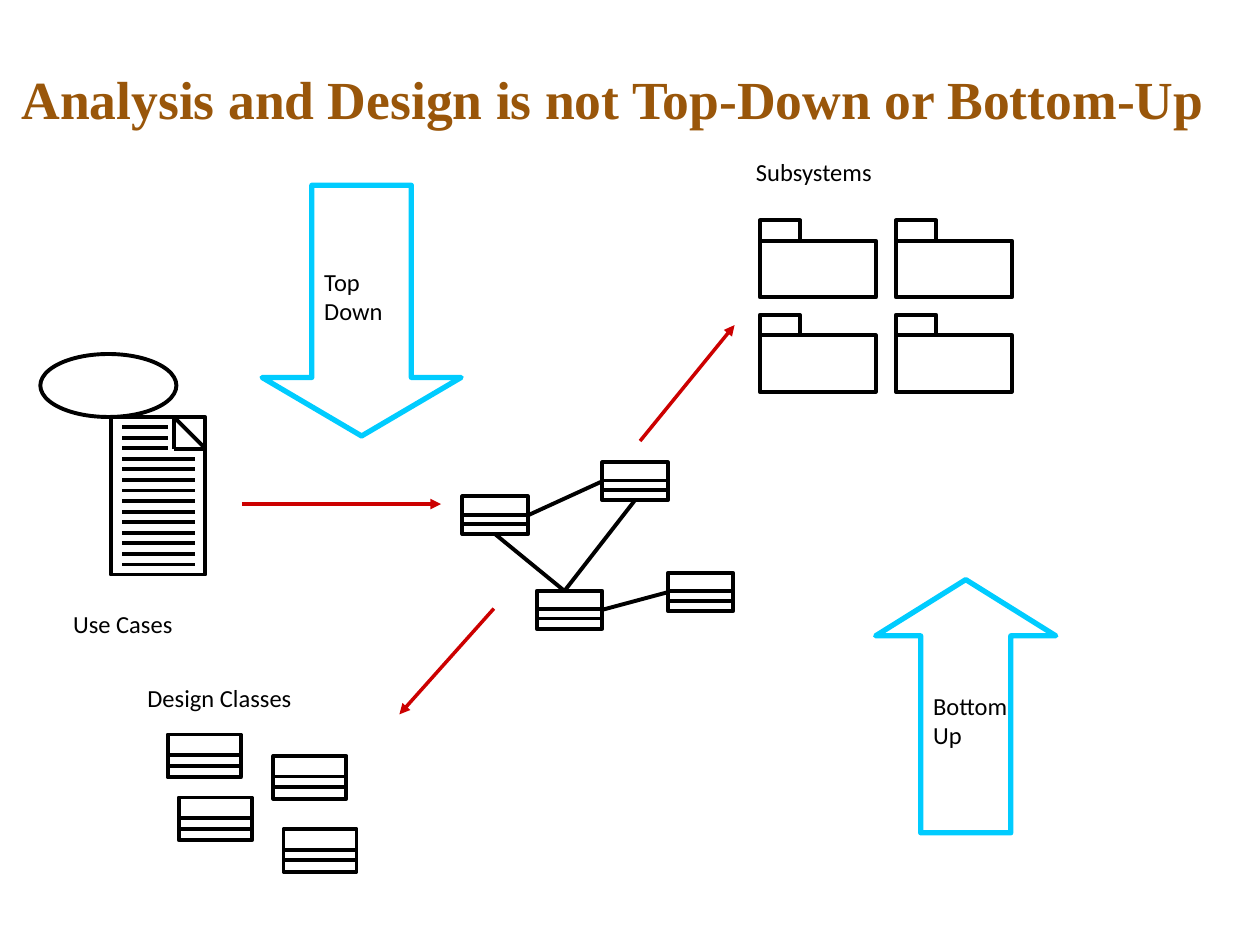
from typing import NamedTuple

from lxml.etree import SubElement
from pptx import Presentation
from pptx.dml.color import RGBColor
from pptx.enum.shapes import MSO_CONNECTOR as Connector, MSO_SHAPE as Shape
from pptx.enum.text import MSO_ANCHOR as Anchor, MSO_AUTO_SIZE as AutoSize, PP_ALIGN as Align
from pptx.oxml.ns import qn
from pptx.util import Inches, Pt

BLACK, RED, CYAN, BROWN = "000000", "CC0000", "00CCFF", "99560A"
OUTLINE = 2.25
TOP, LEFT, BOTTOM, RIGHT = range(4)


class BlockArrow(NamedTuple):
    kind: Shape
    box: tuple
    head: float
    lines: tuple


class Label(NamedTuple):
    text: str
    box: tuple


class Line(NamedTuple):
    start: tuple
    end: tuple


BLOCK_ARROWS = [
    BlockArrow(Shape.DOWN_ARROW, (2.08, 1.47, 1.58, 1.99), 0.294, ("Top", "Down")),
    BlockArrow(Shape.UP_ARROW, (6.95, 4.6, 1.43, 2.01), 0.312, ("Bottom", "Up")),
]
FLOW_ARROWS = [
    Line((1.92, 4), (3.5, 4)),
    Line((5.08, 3.5), (5.83, 2.58)),
    Line((3.92, 4.83), (3.17, 5.67)),
]
LABELS = [
    Label("Design Classes", (1.17, 5.42, 1.64, 0.3)),
    Label("Subsystems", (6, 1.25, 1.3, 0.3)),
    Label("Use Cases", (0.58, 4.83, 1.11, 0.3)),
]
DESIGN_CLASSES = [(1.33, 5.83), (1.42, 6.33), (2.17, 6), (2.25, 6.58)]
ANALYSIS_CLASSES = [(3.67, 3.94), (4.78, 3.67), (4.26, 4.69), (5.3, 4.55)]


def color(value: str) -> RGBColor:
    return RGBColor.from_string(value)


def inches(values: tuple) -> list:
    return [Inches(value) for value in values]


def format_text(frame, lines: tuple, size=14, name="Calibri", hue=BLACK, bold=False) -> None:
    frame.text = "\n".join(lines)
    for paragraph in frame.paragraphs:
        paragraph.alignment = Align.LEFT
        font = paragraph.runs[0].font
        for key, value in {"size": Pt(size), "name": name, "bold": bold}.items():
            setattr(font, key, value)
        font.color.rgb = color(hue)


def set_margins(frame, margin: float) -> None:
    for side in ("left", "top", "right", "bottom"):
        setattr(frame, f"margin_{side}", Inches(margin))


def add_outline(shapes, kind, box: tuple, hue=BLACK, width=OUTLINE):
    shape = shapes.add_shape(kind, *inches(box))
    shape.shadow.inherit = False
    shape.fill.background()
    shape.line.color.rgb = color(hue)
    shape.line.width = Pt(width)
    return shape


def add_line(shapes, start: tuple, end: tuple, hue=BLACK, width=OUTLINE, arrow=False):
    line = shapes.add_connector(Connector.STRAIGHT, *inches(start + end))
    line.line.color.rgb = color(hue)
    line.line.width = Pt(width)
    if arrow:
        SubElement(line.line._get_or_add_ln(), qn("a:tailEnd"), type="triangle")
    SubElement(line._element.spPr, qn("a:effectLst"))
    return line


def add_block_arrow(shapes, arrow: BlockArrow) -> None:
    shape = add_outline(shapes, arrow.kind, arrow.box, CYAN, 3)
    shape.adjustments[0] = 0.5
    shape.adjustments[1] = arrow.head
    frame = shape.text_frame
    frame.word_wrap = False
    frame.vertical_anchor = Anchor.MIDDLE
    format_text(frame, arrow.lines)


def add_label(shapes, label: Label) -> None:
    frame = shapes.add_textbox(*inches(label.box)).text_frame
    set_margins(frame, 0)
    frame.word_wrap = False
    frame.auto_size = AutoSize.SHAPE_TO_FIT_TEXT
    format_text(frame, (label.text,))


def add_class(shapes, left: float, top: float, width: float, height: float):
    """Class box with two compartment lines; returns its outer rectangle."""
    group = shapes.add_group_shape().shapes
    box = add_outline(group, Shape.RECTANGLE, (left, top, width, height))
    for share in (0.48, 0.73):
        y = top + share * height
        add_line(group, (left, y), (left + width, y))
    return box


def add_folder(shapes, left: float, top: float) -> None:
    group = shapes.add_group_shape().shapes
    add_outline(group, Shape.RECTANGLE, (left, top + 0.16, 0.92, 0.45))
    add_outline(group, Shape.RECTANGLE, (left, top, 0.32, 0.16))


def add_use_case(shapes) -> None:
    group = shapes.add_group_shape().shapes
    add_outline(group, Shape.OVAL, (0.32, 2.81, 1.08, 0.5))
    add_outline(group, Shape.RECTANGLE, (0.88, 3.31, 0.75, 1.25))
    # Folded page corner
    fold = [(1.38, 3.31), (1.63, 3.56), (1.38, 3.56)]
    for start, end in zip(fold, fold[1:] + fold[:1]):
        add_line(group, start, end)
    # Lines of writing, the first three shortened by the fold
    for row in range(14):
        y = 3.39 + row * 1.09 / 13
        add_line(group, (0.97, y), (1.33 if row < 3 else 1.55, y))


def main() -> None:
    presentation = Presentation()
    presentation.slide_width, presentation.slide_height = Inches(10), Inches(7.5)
    slide = presentation.slides.add_slide(presentation.slide_layouts[5])
    shapes = slide.shapes

    # Title
    title = shapes.title
    title.left, title.top, title.width, title.height = inches((0.07, 0.35, 9.93, 0.78))
    frame = title.text_frame
    set_margins(frame, 0.1)
    frame.vertical_anchor = Anchor.BOTTOM
    frame.auto_size = AutoSize.NONE
    format_text(frame, ("Analysis and Design is not Top-Down or Bottom-Up",),
                30.6, "Times New Roman", BROWN, True)

    # Directions and flow
    for arrow in BLOCK_ARROWS:
        add_block_arrow(shapes, arrow)
    for flow in FLOW_ARROWS:
        add_line(shapes, flow.start, flow.end, RED, 2, arrow=True)

    # Design classes, subsystems and use cases
    for left, top in DESIGN_CLASSES:
        add_class(shapes, left, top, 0.58, 0.34)
    for left in (6.03, 7.11):
        for top in (1.75, 2.5):
            add_folder(shapes, left, top)
    add_use_case(shapes)
    for label in LABELS:
        add_label(shapes, label)

    # Analysis classes and their associations
    first, second, third, fourth = [
        add_class(shapes, left, top, 0.52, 0.3) for left, top in ANALYSIS_CLASSES]
    for box, side, other, other_side in [(first, RIGHT, second, LEFT),
                                         (third, RIGHT, fourth, LEFT)]:
        line = add_line(shapes, (0, 0), (1, 1))
        line.begin_connect(box, side)
        line.end_connect(other, other_side)
    for box, end in [(first, (3.93, 4.24)), (second, (5.04, 3.97))]:
        add_line(shapes, (4.48, 4.69), end).end_connect(box, BOTTOM)

    presentation.save("out.pptx")


if __name__ == "__main__":
    main()
